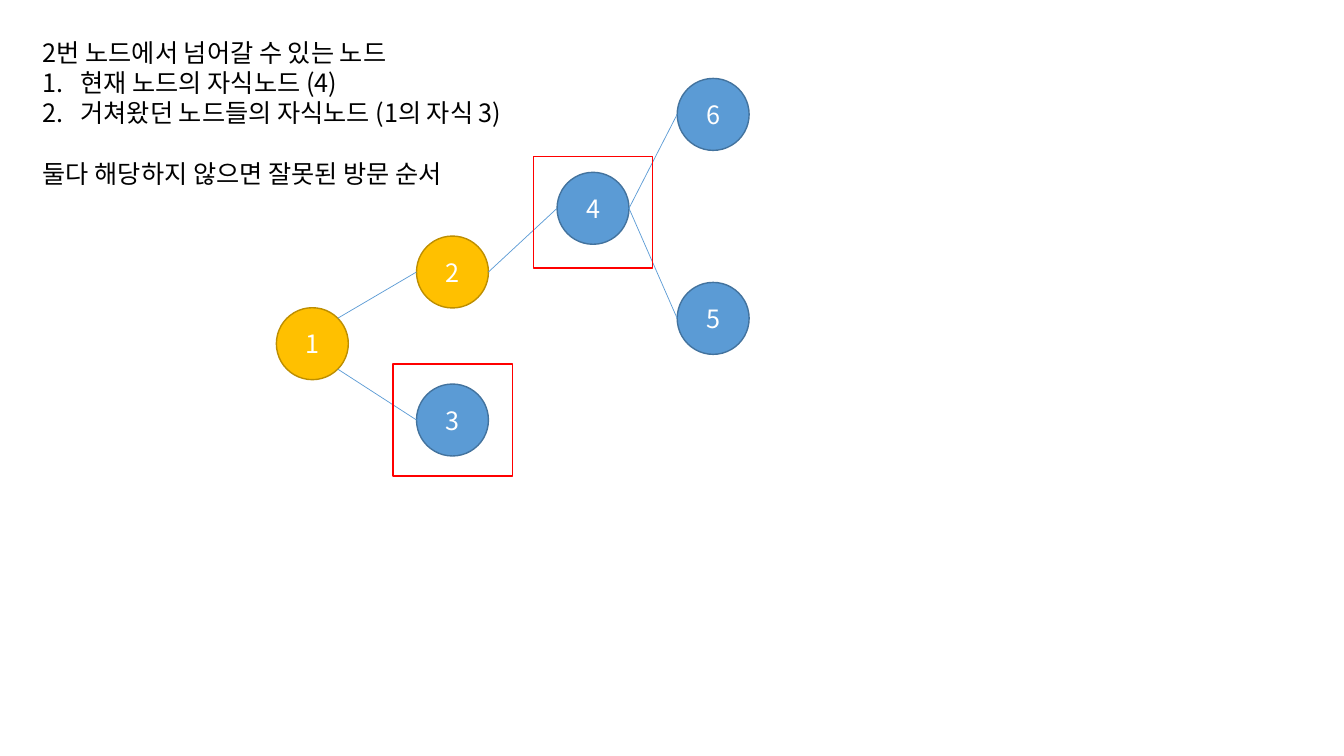
from math import sqrt

from lxml.etree import SubElement
from pptx import Presentation
from pptx.dml.color import RGBColor
from pptx.enum.shapes import MSO_CONNECTOR as Connector, MSO_SHAPE as Shape
from pptx.enum.text import MSO_ANCHOR as Anchor, MSO_AUTO_SIZE as AutoSize, PP_ALIGN as Align
from pptx.oxml.ns import qn
from pptx.util import Pt

COLORS = {
    "blue": "5B9BD5", "blue_edge": "43739E",
    "yellow": "FFC000", "yellow_edge": "BD8E00",
    "red": "FF0000", "white": "FFFFFF", "black": "000000",
}
DIAMETER = 51.4
RADIUS = DIAMETER / 2
DIAGONAL = 1 / sqrt(2)
NODES = {
    "3": (323.2, 300, "blue"),
    "1": (223.1, 245.5, "yellow"),
    "2": (323.2, 194.3, "yellow"),
    "4": (423.6, 148.8, "blue"),
    "5": (509.4, 227.4, "blue"),
    "6": (509.4, 81.7, "blue"),
}
EDGES = [
    ("1", "2", DIAGONAL, -DIAGONAL),
    ("1", "3", DIAGONAL, DIAGONAL),
    ("4", "5", 1, 0),
    ("4", "6", 1, 0),
    ("2", "4", 1, 0),
]
CANDIDATE_FRAMES = [(323.4, 300), (423.5, 151.6)]
EXPLANATION = [
    ("2번 노드에서 넘어갈 수 있는 노드", False, 0),
    ("현재 노드의 자식노드 (4)", True, 0),
    ("거쳐왔던 노드들의 자식노드 (1의 자식 3)", True, 0),
    ("둘다 해당하지 않으면 잘못된 방문 순서", False, 21.6),
]


class SlideBuilder:
    font_name = "Noto Sans CJK KR"
    font_size = 18
    line_spacing = 21.6
    indent = 27

    def __init__(self, slide):
        self.slide = slide

    def color(self, name):
        return RGBColor.from_string(COLORS[name])

    def apply(self, target, formats):
        for name, value in formats.items():
            setattr(target, name, value)

    def line(self, shape, color, width):
        shape.line.color.rgb = self.color(color)
        shape.line.width = Pt(width)

    def add_words(self, paragraph, text, color):
        run = paragraph.add_run()
        run.text = text
        self.apply(run.font, {"size": Pt(self.font_size), "name": self.font_name})
        run.font.color.rgb = self.color(color)
        SubElement(run.font._element, qn("a:ea")).set("typeface", self.font_name)

    def centered_shape(self, kind, x, y, width, height):
        shape = self.slide.shapes.add_shape(
            kind, Pt(x - width / 2), Pt(y - height / 2), Pt(width), Pt(height))
        shape.shadow.inherit = False
        return shape

    def node(self, label, x, y, color):
        shape = self.centered_shape(Shape.OVAL, x, y, DIAMETER, DIAMETER)
        shape.fill.solid()
        shape.fill.fore_color.rgb = self.color(color)
        self.line(shape, color + "_edge", 1)
        shape.text_frame.vertical_anchor = Anchor.MIDDLE
        paragraph = shape.text_frame.paragraphs[0]
        paragraph.alignment = Align.CENTER
        self.add_words(paragraph, label, "white")

    def edge(self, parent, child, dx, dy):
        parent_x, parent_y, _ = NODES[parent]
        child_x, child_y, _ = NODES[child]
        connector = self.slide.shapes.add_connector(
            Connector.STRAIGHT,
            Pt(parent_x + dx * RADIUS), Pt(parent_y + dy * RADIUS),
            Pt(child_x - RADIUS), Pt(child_y))
        self.line(connector, "blue", 0.5)
        SubElement(connector._element.spPr, qn("a:effectLst"))

    def frame(self, x, y):
        shape = self.centered_shape(Shape.RECTANGLE, x, y, 85.2, 80)
        shape.fill.background()
        self.line(shape, "red", 1)

    def text(self, left, top, width, height, lines):
        box = self.slide.shapes.add_textbox(Pt(left), Pt(top), Pt(width), Pt(height))
        text_frame = box.text_frame
        self.apply(text_frame, {"word_wrap": True, "auto_size": AutoSize.SHAPE_TO_FIT_TEXT})
        for index, (text, numbered, space_before) in enumerate(lines):
            paragraph = text_frame.add_paragraph() if index else text_frame.paragraphs[0]
            self.apply(paragraph, {
                "line_spacing": Pt(self.line_spacing),
                "space_before": Pt(space_before),
            })
            if numbered:
                self.number(paragraph)
            self.add_words(paragraph, text, "black")

    def number(self, paragraph):
        properties = paragraph._p.get_or_add_pPr()
        properties.set("marL", str(Pt(self.indent)))
        properties.set("indent", str(-Pt(self.indent)))
        SubElement(properties, qn("a:buFont")).set("typeface", self.font_name)
        SubElement(properties, qn("a:buAutoNum")).set("type", "arabicPeriod")


def main():
    presentation = Presentation()
    presentation.slide_width = Pt(960)
    presentation.slide_height = Pt(540)
    builder = SlideBuilder(presentation.slides.add_slide(presentation.slide_layouts[6]))
    for label, (x, y, color) in NODES.items():
        builder.node(label, x, y, color)
    for edge in EDGES:
        builder.edge(*edge)
    for center in CANDIDATE_FRAMES:
        builder.frame(*center)
    builder.text(23.4, 23, 374.4, 116.6, EXPLANATION)
    presentation.save("out.pptx")


if __name__ == "__main__":
    main()
